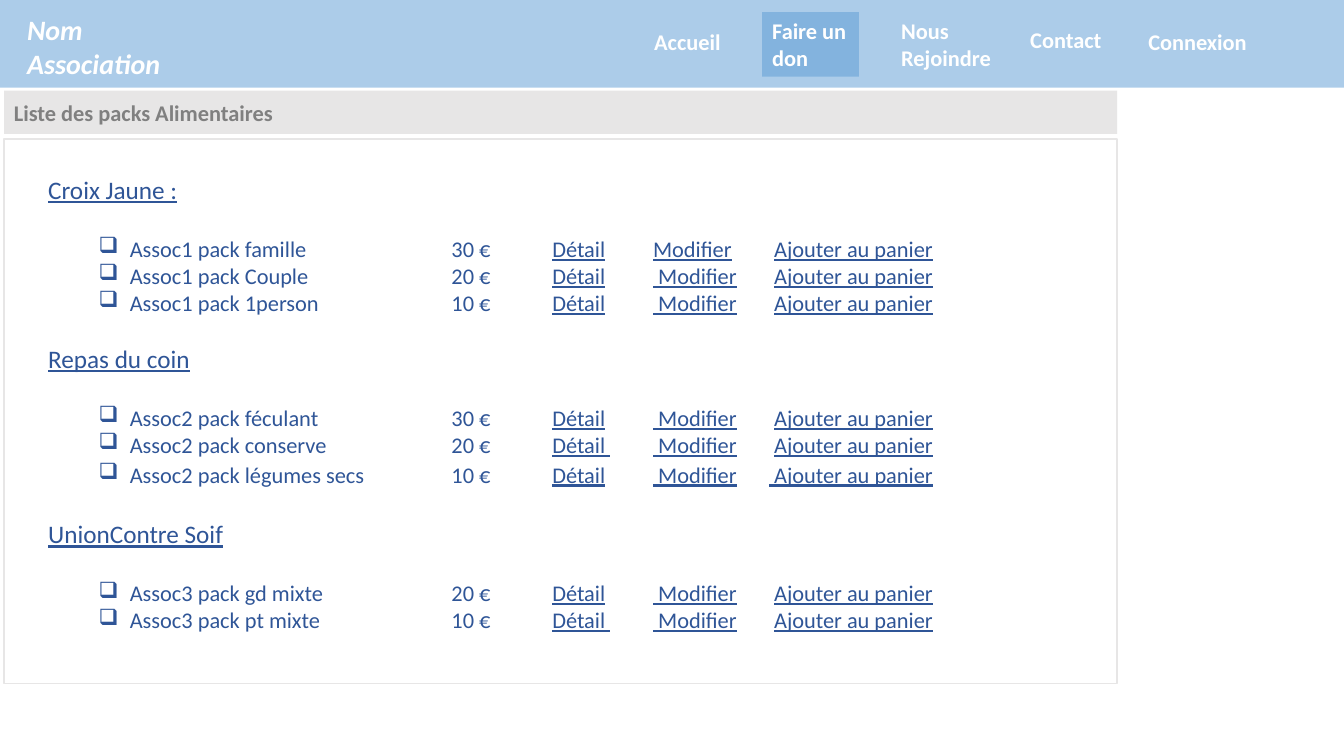
from dataclasses import dataclass

from lxml.etree import SubElement
from pptx import Presentation
from pptx.dml.color import RGBColor as RGB
from pptx.enum.shapes import MSO_SHAPE as SHAPE
from pptx.enum.text import MSO_ANCHOR as ANCHOR, MSO_AUTO_SIZE as FIT, PP_ALIGN as ALIGN
from pptx.oxml.ns import qn
from pptx.util import Inches, Pt


@dataclass(frozen=True)
class Theme:
    """Colours, font and type sizes of the slide."""
    font: str = "Calibri"
    blue: str = "5B9BD5"
    white: str = "FFFFFF"
    grey: str = "E7E6E6"
    title: str = "808080"
    link: str = "2F5597"
    brand_size: int = 20
    heading_size: int = 18
    body_size: int = 16


THEME = Theme()
NAV = [
    ("Accueil", 6.39, 0.23, 0.96, 0.37),
    ("Faire un don", 7.56, 0.12, 0.96, 0.64),
    ("Nous Rejoindre", 8.84, 0.12, 1.17, 0.64),
    ("Contact", 10.12, 0.21, 0.96, 0.37),
    ("Connexion", 11.29, 0.23, 1.28, 0.37),
]
ACTIVE = "Faire un don"
DETAIL, EDIT, ADD = "Détail", " Modifier", "Ajouter au panier"
PACKS = [
    ("Croix Jaune :", 0, [
        ("Assoc1 pack famille", "30 €", DETAIL, "Modifier", ADD),
        ("Assoc1 pack Couple", "20 €", DETAIL, EDIT, ADD),
        ("Assoc1 pack 1person", "10 €", DETAIL, EDIT, ADD)]),
    ("Repas du coin", 19.5, [
        ("Assoc2 pack féculant", "30 €", DETAIL, EDIT, ADD),
        ("Assoc2 pack conserve", "20 €", DETAIL + " ", EDIT, ADD),
        ("Assoc2 pack légumes secs", "10 €", DETAIL, EDIT, " " + ADD)]),
    ("UnionContre Soif", 22, [
        ("Assoc3 pack gd mixte", "20 €", DETAIL, EDIT, ADD),
        ("Assoc3 pack pt mixte", "10 €", DETAIL + " ", EDIT, ADD)]),
]


def style(r, size, color, bold=None, italic=None, underline=None):
    """Format one run."""
    f = r.font
    f.name, f.size, f.color.rgb = THEME.font, Pt(size), RGB.from_string(color)
    f.bold, f.italic, f.underline = bold, italic, underline


def add_box(slide, x, y, w, h, fill=None, line=None, alpha=None):
    """Add a plain rectangle with optional fill, outline and opacity."""
    s = slide.shapes.add_shape(SHAPE.RECTANGLE, Inches(x), Inches(y), Inches(w), Inches(h))
    s.shadow.inherit = False
    if fill:
        s.fill.solid()
        s.fill.fore_color.rgb = RGB.from_string(fill)
    else:
        s.fill.background()
    if alpha:
        color = s._element.spPr.find(qn("a:solidFill"))[0]
        SubElement(color, qn("a:alpha")).set("val", str(alpha * 1000))
    if line:
        s.line.color.rgb = RGB.from_string(line)
        s.line.width = Pt(1)
    else:
        s.line.fill.background()
    return s


def add_text(slide, x, y, w, h):
    """Add a wrapping text box and return it."""
    s = slide.shapes.add_textbox(Inches(x), Inches(y), Inches(w), Inches(h))
    s.text_frame.word_wrap = True
    s.text_frame.auto_size = FIT.SHAPE_TO_FIT_TEXT
    return s


def set_label(s, text, size, color, anchor=ANCHOR.TOP, italic=None):
    """Write a bold left-aligned label in a shape."""
    tf = s.text_frame
    tf.text, tf.vertical_anchor = text, anchor
    p = tf.paragraphs[0]
    p.alignment = ALIGN.LEFT
    style(p.runs[0], size, color, bold=True, italic=italic)


def add_header(slide, x, y, w, h):
    """Draw the top band with the association name and the menu."""
    add_box(slide, x, y, w, h, THEME.blue, alpha=50)
    brand = add_text(slide, x + 0.17, y + 0.08, 1.54, 0.77)
    set_label(brand, "Nom Association", THEME.brand_size, THEME.white, italic=True)
    for text, left, top, width, height in NAV:
        at = (x + left, y + top, width, height)
        s = add_box(slide, *at, THEME.blue, alpha=50) if text == ACTIVE else add_text(slide, *at)
        set_label(s, text, THEME.body_size, THEME.white)


def format_row(p, stops):
    """Give a pack row its indent, checkbox bullet and column stops."""
    pPr = p._p.get_or_add_pPr()
    pPr.set("marL", str(Inches(0.81)))
    pPr.set("indent", str(-Inches(0.31)))
    SubElement(pPr, qn("a:buChar")).set("char", "❑")
    tabs = SubElement(pPr, qn("a:tabLst"))
    for stop in stops:
        tab = SubElement(tabs, qn("a:tab"))
        tab.set("pos", str(Inches(stop)))
        tab.set("algn", "l")


def add_row(p, cells):
    """Write one pack with its price and underlined actions."""
    name, price, *links = cells
    add_stop = 7.15 if links[-1].startswith(" ") else 7.2
    format_row(p, (4, 5, 6, add_stop))
    parts = [(f"{name}\t{price}", False)]
    for link in links:
        parts += [("\t", False), (link, True)]
    for text, underline in parts:
        r = p.add_run()
        r.text = text
        style(r, THEME.body_size, THEME.link, underline=underline)


def add_packs(slide, x, y, w, h):
    """Draw the title bar, the frame and the list of packs."""
    bar = add_box(slide, x, y, w, 0.43, THEME.grey)
    set_label(bar, "Liste des packs Alimentaires", THEME.body_size, THEME.title, ANCHOR.MIDDLE)
    add_box(slide, x, y + 0.48, w, h - 0.48, line=THEME.grey)
    tf = add_text(slide, x + 0.34, y + 0.78, w - 0.4, 4.8).text_frame
    for i, (heading, gap, rows) in enumerate(PACKS):
        p = tf.add_paragraph() if i else tf.paragraphs[0]
        p.text, p.space_before, p.space_after = heading, Pt(gap), Pt(22)
        style(p.runs[0], THEME.heading_size, THEME.link, underline=True)
        for cells in rows:
            p = tf.add_paragraph()
            p.space_before = Pt(2 if cells[-1].startswith(" ") else 0)
            add_row(p, cells)


def main():
    """Build and save the slide."""
    prs = Presentation()
    prs.slide_width, prs.slide_height = Inches(13.33), Inches(7.5)
    slide = prs.slides.add_slide(prs.slide_layouts[6])
    add_header(slide, 0, 0, 13.33, 0.87)
    add_packs(slide, 0.04, 0.9, 11.04, 5.88)
    prs.save("out.pptx")


main()
